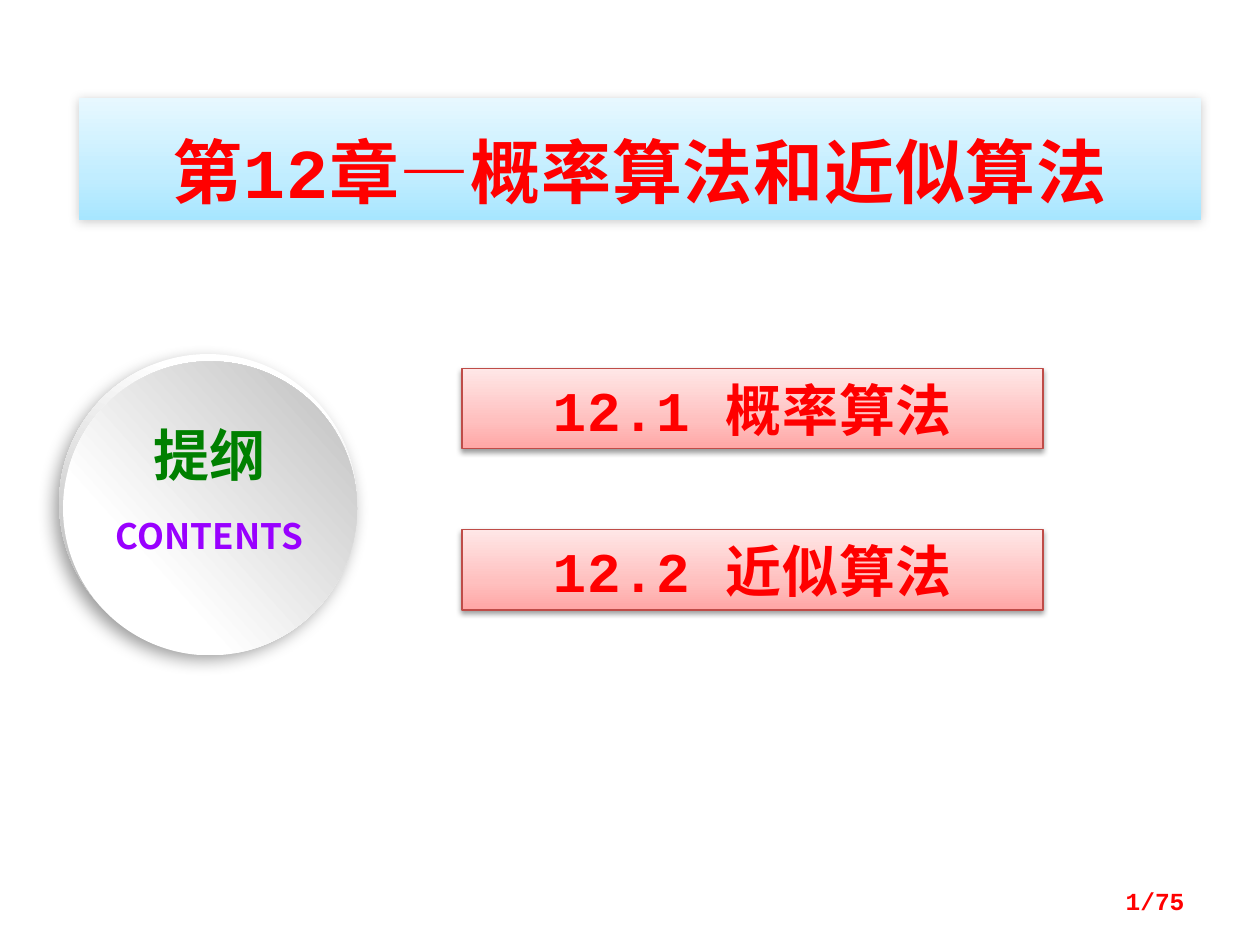
from lxml import etree
from pptx import Presentation
from pptx.dml.color import RGBColor
from pptx.enum.shapes import MSO_SHAPE
from pptx.enum.text import MSO_ANCHOR, MSO_AUTO_SIZE, PP_ALIGN
from pptx.oxml.ns import qn
from pptx.util import Pt

RECT, OVAL = MSO_SHAPE.RECTANGLE, MSO_SHAPE.OVAL
CENTER, RIGHT = PP_ALIGN.CENTER, PP_ALIGN.RIGHT
MIDDLE = MSO_ANCHOR.MIDDLE
NO_FIT = MSO_AUTO_SIZE.NONE
MONO, SANS = "Courier New", "Noto Sans CJK SC"
RED, GREEN, PURPLE = "FF0000", "008000", "9900FF"
BLUE_STOPS = [(0, "A7E6FF"), (35, "C1EDFF"), (100, "E7F8FF")]
PINK_STOPS = [(0, "FFA6A5"), (35, "FFC0BF"), (100, "FFE7E7")]


def rgb(color):
    return RGBColor.from_string(color)


def add_color(parent, color):
    return etree.SubElement(parent, qn("a:srgbClr"), val=color)


def set_gradient(s, stops, angle):
    """Linear fill; the angle runs clockwise from left-to-right."""
    s.fill.gradient()
    grad = s._element.spPr.find(qn("a:gradFill"))
    for child in list(grad):
        grad.remove(child)
    gs_list = etree.SubElement(grad, qn("a:gsLst"))
    for pos, color in stops:
        gs = etree.SubElement(gs_list, qn("a:gs"), pos=str(pos * 1000))
        add_color(gs, color)
    etree.SubElement(grad, qn("a:lin"), ang=str(angle * 60000), scaled="0")


def set_shadow(s, alpha, blur, dist, angle):
    s.shadow.inherit = False
    effects = s._element.spPr.find(qn("a:effectLst"))
    shadow = etree.SubElement(
        effects, qn("a:outerShdw"), blurRad=str(Pt(blur)), dist=str(Pt(dist)),
        dir=str(angle * 60000), algn="ctr", rotWithShape="0")
    etree.SubElement(add_color(shadow, "000000"), qn("a:alpha"),
                     val=str(alpha * 1000))


def write_text(s, text, size, color, font=MONO, align=CENTER, spacing=0):
    tf = s.text_frame
    tf.word_wrap = True
    tf.auto_size = NO_FIT
    tf.vertical_anchor = MIDDLE
    p = tf.paragraphs[0]
    p.alignment = align
    p.space_before = Pt(0)
    r = p.add_run()
    r.text = text
    r.font.name = font
    r.font.size = Pt(size)
    r.font.bold = True
    r.font.color.rgb = rgb(color)
    if spacing:
        r._r.get_or_add_rPr().set("spc", str(int(spacing * 100)))
    etree.SubElement(r._r.get_or_add_rPr(), qn("a:ea"), typeface=SANS)
    return tf


def add_title(slide, text):
    s = slide.shapes.title
    s.left, s.top, s.width, s.height = Pt(45), Pt(56), Pt(641.5), Pt(69.5)
    set_gradient(s, BLUE_STOPS, 270)
    set_shadow(s, 20, 6, 1, 135)
    tf = write_text(s, text, 40, RED, spacing=0.5)
    tf.margin_top = Pt(17.3)


def add_section(slide, text, top):
    s = slide.shapes.add_shape(RECT, Pt(264), Pt(top), Pt(332), Pt(46))
    set_gradient(s, PINK_STOPS, 270)
    s.line.color.rgb = rgb("BF4C48")
    s.line.width = Pt(0.75)
    set_shadow(s, 38, 3.1, 1.6, 90)
    write_text(s, text, 32, RED, spacing=0.5)


def add_disc(group, left, top, size, stops, angle):
    s = group.shapes.add_shape(OVAL, Pt(left), Pt(top), Pt(size), Pt(size))
    set_gradient(s, stops, angle)
    s.line.fill.background()
    s.shadow.inherit = False
    return s


def add_label(slide, box, text, size, color, **style):
    s = slide.shapes.add_textbox(*(Pt(v) for v in box))
    write_text(s, text, size, color, **style)


def main():
    prs = Presentation()
    prs.slide_width, prs.slide_height = Pt(720), Pt(540)
    slide = prs.slides.add_slide(prs.slide_layouts[5])

    # Chapter title and its sections
    add_title(slide, "第12章—概率算法和近似算法")
    for i, text in enumerate(["12.1 概率算法", "12.2 近似算法"]):
        add_section(slide, text, 210.5 + 92 * i)

    # Raised disc with the outline label
    disc = slide.shapes.add_group_shape()
    rim = add_disc(disc, 33.8, 202.3, 170, [(17, "FFFFFF"), (88, "B8B8B8")], 107)
    set_shadow(rim, 39, 10, 5, 123)
    add_disc(disc, 36, 206.5, 168, [(29, "FFFFFF"), (98, "BFBFBF")], 318)
    add_label(slide, (53.5, 290, 132.5, 31.5), "CONTENTS", 20, PURPLE, font=SANS)
    add_label(slide, (64.5, 236.5, 111, 46), "提纲", 32, GREEN, font=SANS)

    # Page number
    add_label(slide, (516, 500, 168, 29), "1/75", 14, RED, align=RIGHT)

    prs.save("out.pptx")


if __name__ == "__main__":
    main()
